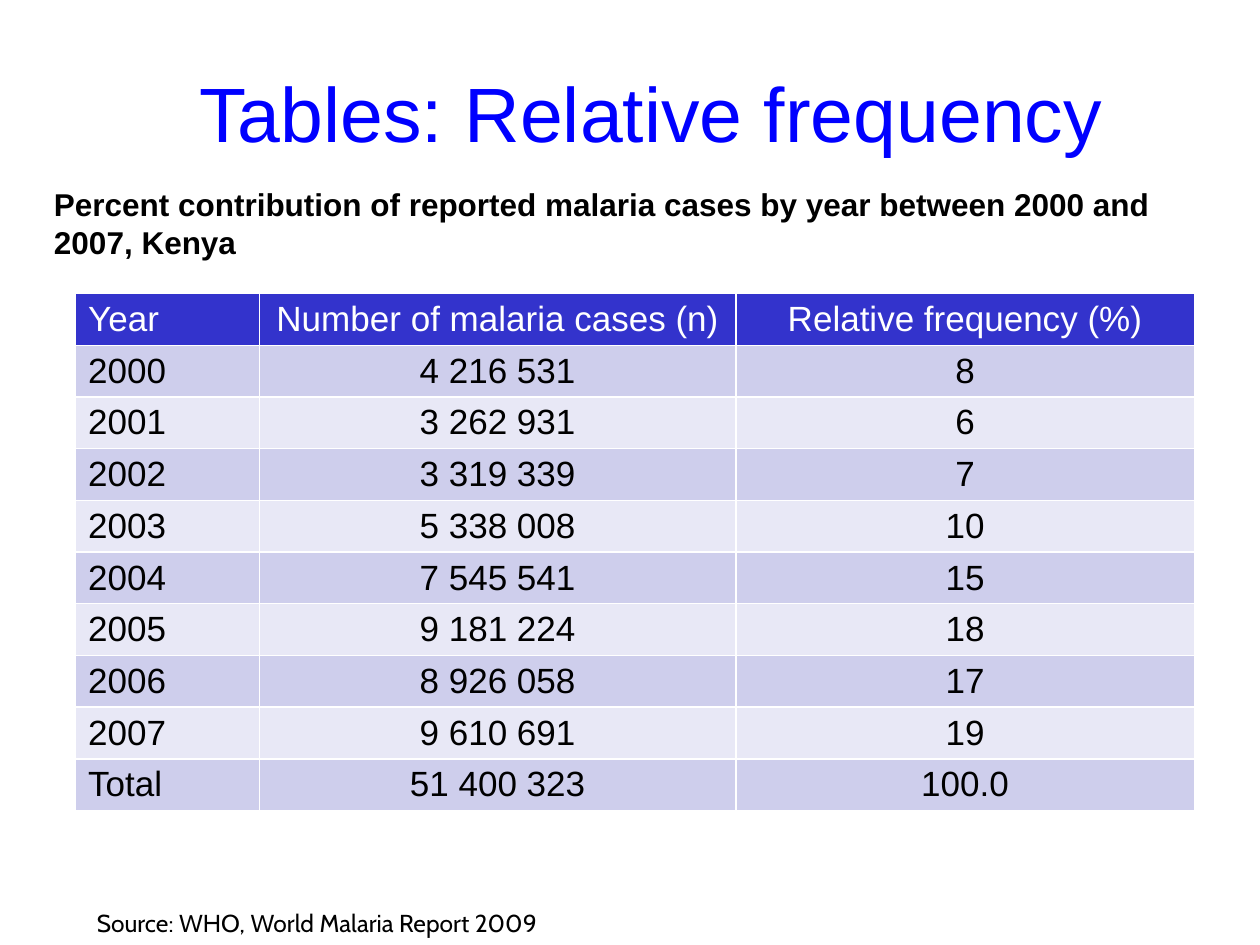
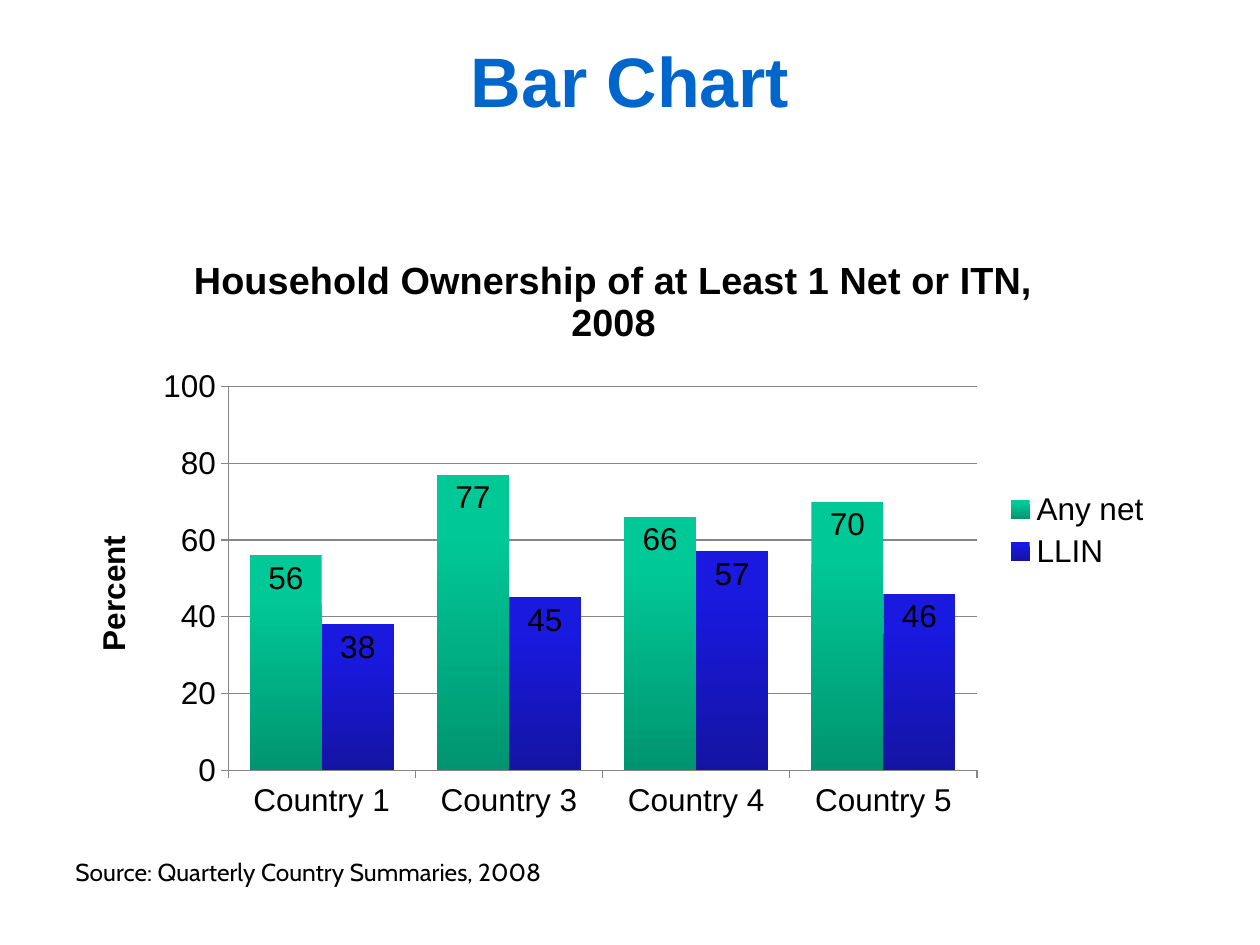
from lxml import etree
from pptx import Presentation
from pptx.chart.data import CategoryChartData
from pptx.dml.color import RGBColor
from pptx.enum.chart import XL_CHART_TYPE, XL_LABEL_POSITION, XL_LEGEND_POSITION, XL_TICK_MARK
from pptx.enum.text import PP_ALIGN
from pptx.oxml import parse_xml
from pptx.oxml.ns import nsdecls, qn
from pptx.util import Inches, Pt

LEFT, CENTER = PP_ALIGN.LEFT, PP_ALIGN.CENTER
COLUMNS = XL_CHART_TYPE.COLUMN_CLUSTERED
INSIDE_END = XL_LABEL_POSITION.INSIDE_END
LEGEND_RIGHT = XL_LEGEND_POSITION.RIGHT
TICK_OUTSIDE = XL_TICK_MARK.OUTSIDE

BODY_FONT, SOURCE_FONT = "Arial", "Cabin"
COLORS = {
    "text": "000000", "white": "FFFFFF",
    "table title": "0000FF", "chart title": "0066CC",
    "header": "3333CC", "odd row": "CECEEC", "even row": "E8E8F6",
    "axis": "868686",
}

MALARIA_TITLE = "Tables: Relative frequency"
MALARIA_CAPTION = ("Percent contribution of reported malaria cases by year "
                   "between 2000 and 2007, Kenya")
MALARIA_SOURCE = "Source: WHO, World Malaria Report 2009"
MALARIA_ROWS = [
    ("Year", "Number of malaria cases (n)", "Relative frequency (%)"),
    ("2000", "4 216 531", "8"),
    ("2001", "3 262 931", "6"),
    ("2002", "3 319 339", "7"),
    ("2003", "5 338 008", "10"),
    ("2004", "7 545 541", "15"),
    ("2005", "9 181 224", "18"),
    ("2006", "8 926 058", "17"),
    ("2007", "9 610 691", "19"),
    ("Total", "51 400 323", "100.0"),
]
COLUMN_WIDTHS = (1.46, 3.78, 3.64)
ROW_HEIGHT = 0.41

NETS_TITLE = "Bar Chart"
NETS_SOURCE = "Source: Quarterly Country Summaries, 2008"
NETS_CHART_TITLE = "Household Ownership of at Least 1 Net or ITN, 2008"
NETS_AXIS_TITLE = "Percent"
COUNTRIES = ("Country 1", "Country 3", "Country 4", "Country 5")
# name, values, gradient from top to bottom
NET_SERIES = [
    ("Any net", (56, 77, 66, 70), ("00C897", "009570")),
    ("LLIN", (38, 45, 57, 46), ("1919E0", "1414A4")),
]
PLOT_AREA = {"x": 0.15, "y": 0.26, "w": 0.68, "h": 0.64}  # shares of the chart


def rgb(name):
    return RGBColor.from_string(COLORS[name])


def style_font(font, size, color="text", name=BODY_FONT, bold=False):
    font.size, font.name, font.bold = Pt(size), name, bold
    font.color.rgb = rgb(color)


def add_text(slide, text, box, size, align=LEFT, **font_style):
    frame = slide.shapes.add_textbox(*map(Inches, box)).text_frame
    frame.word_wrap = True
    paragraph = frame.paragraphs[0]
    paragraph.text = text
    paragraph.alignment = align
    style_font(paragraph.font, size, **font_style)


def add_title(slide, text, left, top, size, **font_style):
    add_text(slide, text, (left, top, 9, 1.25), size, CENTER, **font_style)


def add_source(slide, text, left, top, width):
    add_text(slide, text, (left, top, width, 0.34), 14, name=SOURCE_FONT)


def add_borders(cell):
    for side in ("lnL", "lnR", "lnT", "lnB"):
        line = etree.SubElement(cell._tc.get_or_add_tcPr(), qn(f"a:{side}"), w=str(Pt(1)))
        fill = etree.SubElement(line, qn("a:solidFill"))
        etree.SubElement(fill, qn("a:srgbClr"), val=COLORS["white"])


def add_malaria_table(slide, left, top):
    table = slide.shapes.add_table(
        len(MALARIA_ROWS), len(COLUMN_WIDTHS), Inches(left), Inches(top),
        Inches(sum(COLUMN_WIDTHS)), Inches(ROW_HEIGHT * len(MALARIA_ROWS))).table
    for column, width in zip(table.columns, COLUMN_WIDTHS):
        column.width = Inches(width)
    for row_index, values in enumerate(MALARIA_ROWS):
        if row_index == 0:
            fill_color, text_color = "header", "white"
        else:
            fill_color, text_color = "odd row" if row_index % 2 else "even row", "text"
        for column_index, value in enumerate(values):
            cell = table.cell(row_index, column_index)
            add_borders(cell)
            cell.fill.solid()
            cell.fill.fore_color.rgb = rgb(fill_color)
            paragraph = cell.text_frame.paragraphs[0]
            paragraph.text = value
            paragraph.alignment = CENTER if column_index else LEFT
            style_font(paragraph.font, 20, text_color)


def set_heading(owner, text, size):
    """Give a chart or an axis a bold title."""
    title = owner.chart_title if hasattr(owner, "chart_title") else owner.axis_title
    paragraph = title.text_frame.paragraphs[0]
    paragraph.text = text
    style_font(paragraph.font, size, bold=True)


def place_plot_area(chart):
    sizes = "".join(f'<c:{key} val="{share}"/>' for key, share in PLOT_AREA.items())
    layout = parse_xml(
        f'<c:layout {nsdecls("c")}><c:manualLayout><c:layoutTarget val="inner"/>'
        f'<c:xMode val="edge"/><c:yMode val="edge"/>{sizes}</c:manualLayout></c:layout>')
    plot_area = chart._chartSpace.chart.plotArea
    for automatic in plot_area.findall(qn("c:layout")):
        plot_area.remove(automatic)
    plot_area.insert(0, layout)


def add_nets_chart(slide, box):
    data = CategoryChartData()
    data.categories = COUNTRIES
    for name, values, _ in NET_SERIES:
        data.add_series(name, values)
    chart = slide.shapes.add_chart(COLUMNS, *map(Inches, box), data).chart
    style_font(chart.font, 18)
    set_heading(chart, NETS_CHART_TITLE, 21.6)
    chart.has_legend = True
    chart.legend.position = LEGEND_RIGHT
    chart.legend.include_in_layout = False
    place_plot_area(chart)

    value_axis = chart.value_axis
    set_heading(value_axis, NETS_AXIS_TITLE, 18)
    value_axis.minimum_scale, value_axis.maximum_scale = 0, 100
    value_axis.major_unit = 20
    value_axis.has_major_gridlines = True
    for line in (value_axis.major_gridlines.format.line, value_axis.format.line,
                 chart.category_axis.format.line):
        line.color.rgb = rgb("axis")
        line.width = Pt(0.75)
    for axis in (value_axis, chart.category_axis):
        axis.major_tick_mark = TICK_OUTSIDE

    plot = chart.plots[0]
    plot.gap_width, plot.overlap = 60, 0
    plot.vary_by_categories = False
    plot.has_data_labels = True
    labels = plot.data_labels
    labels.show_value = True
    labels.position = INSIDE_END
    style_font(labels.font, 18)
    for series, (_, _, gradient) in zip(plot.series, NET_SERIES):
        fill = series.format.fill
        fill.gradient()
        fill.gradient_angle = 270
        for stop, color, position in zip(fill.gradient_stops, gradient, (0.2, 1)):
            stop.color.rgb = RGBColor.from_string(color)
            stop.position = position


def main():
    presentation = Presentation()
    presentation.slide_width, presentation.slide_height = Inches(10), Inches(7.5)
    blank = presentation.slide_layouts[6]

    slide = presentation.slides.add_slide(blank)
    add_malaria_table(slide, 0.6, 2.33)
    add_text(slide, MALARIA_CAPTION, (0.33, 1.42, 9.08, 0.71), 18, bold=True)
    add_source(slide, MALARIA_SOURCE, 0.67, 7.16, 6.36)
    add_title(slide, MALARIA_TITLE, 0.67, 0.47, 44, color="table title")

    slide = presentation.slides.add_slide(blank)
    add_title(slide, NETS_TITLE, 0.5, 0.25, 40, color="chart title", bold=True)
    add_source(slide, NETS_SOURCE, 0.5, 6.75, 5.67)
    add_nets_chart(slide, (0.5, 1.83, 8.74, 4.76))

    presentation.save("out.pptx")


if __name__ == "__main__":
    main()
